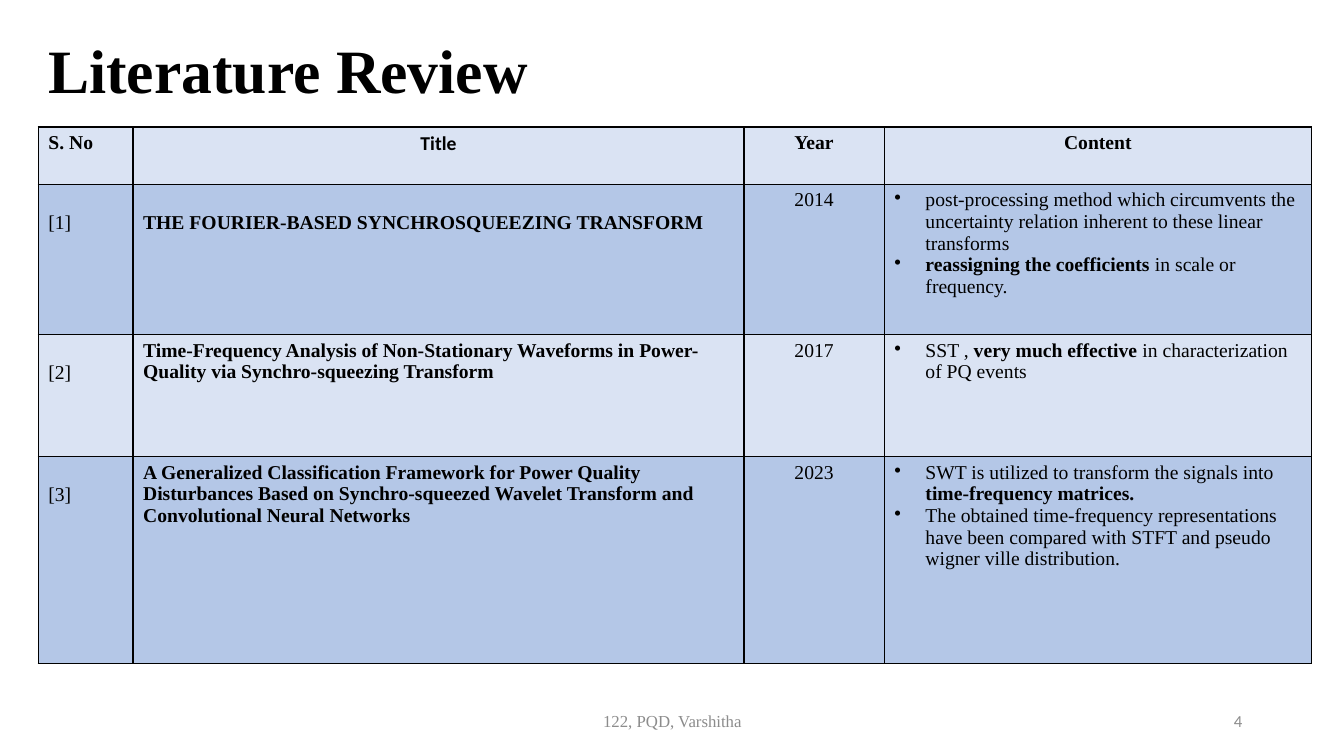
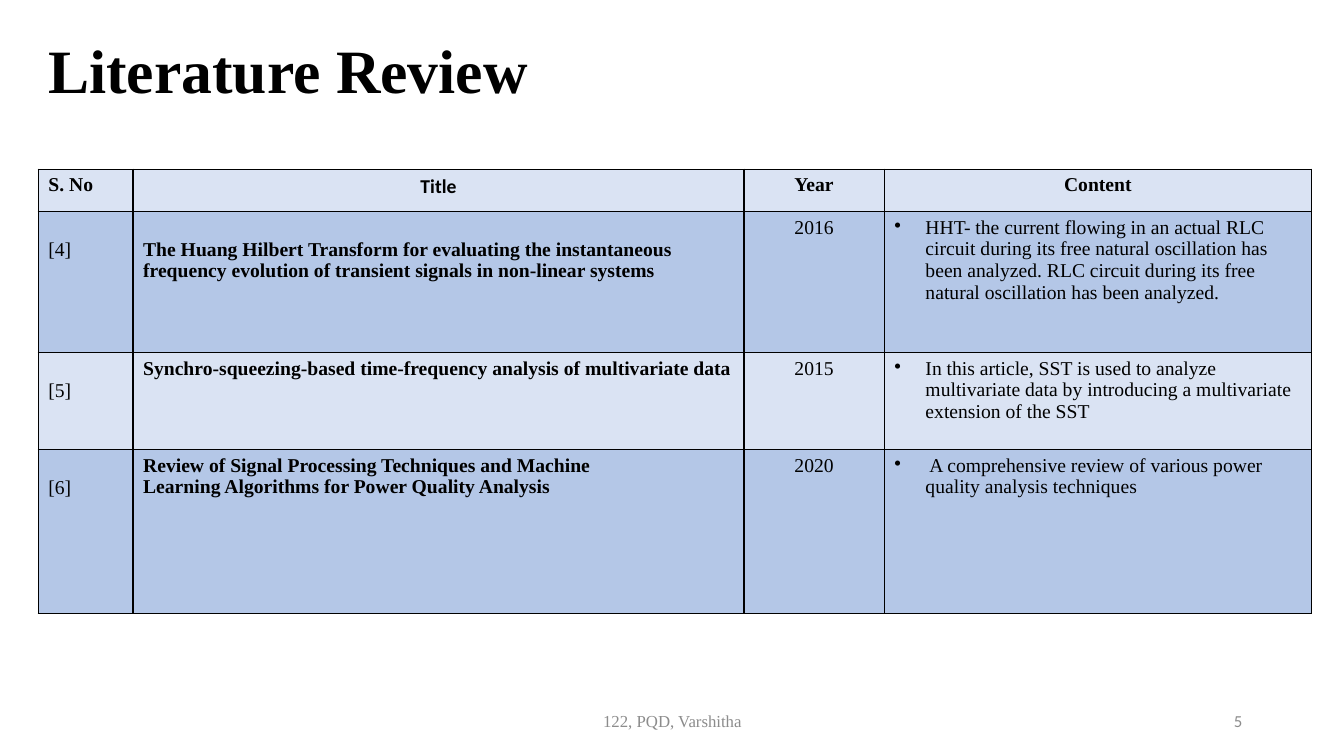
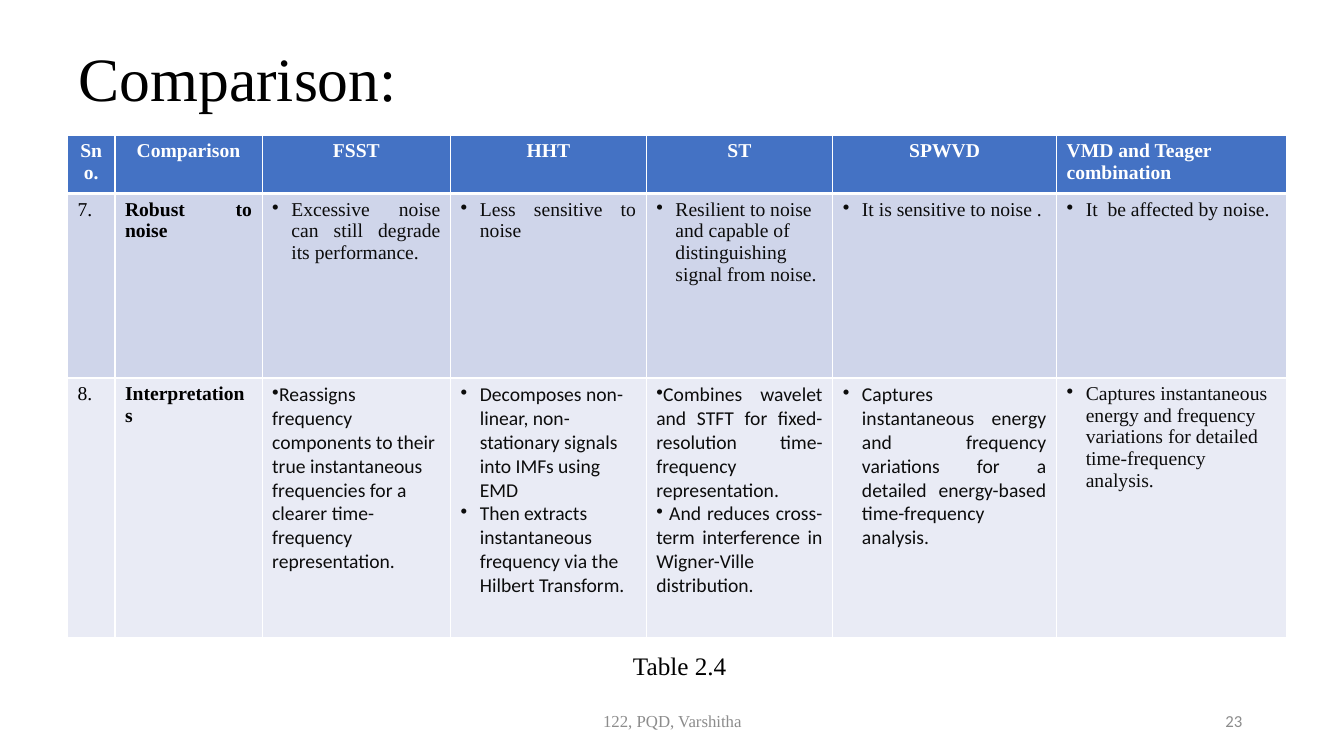
from dataclasses import dataclass

from lxml.etree import SubElement
from pptx import Presentation
from pptx.dml.color import RGBColor as Color
from pptx.enum.text import MSO_ANCHOR as Anchor, MSO_AUTO_SIZE as AutoSize, PP_ALIGN as Align
from pptx.oxml.ns import qn
from pptx.util import Emu, Pt


@dataclass(frozen=True)
class Theme:
    serif: str = "Times New Roman"
    sans: str = "Calibri"
    ink: str = "000000"
    soft_ink: str = "0C0C0C"
    white: str = "FFFFFF"
    muted: str = "8C8C8C"
    review_fills: tuple = ("DAE3F3", "B4C7E7")
    header_fill: str = "4472C4"
    comparison_fills: tuple = ("CFD5EA", "E9EBF5")
    title_size: int = 44
    caption_size: int = 18
    table_size: int = 14
    footer_size: int = 12


@dataclass
class Cell:
    text: str
    align: Align = Align.LEFT
    bold: bool = False
    font: str = Theme.serif
    color: str = Theme.ink
    bullet: bool = False
    hang: int = 0
    top: int = 5


def px(length):
    return Emu(length * 9144)


def apply(target, values):
    for name, value in values.items():
        setattr(target, name, value)


class Deck:
    """Hold the shared style and the current slide, and draw its elements."""

    def __init__(self, theme):
        self.theme = theme
        self.presentation = Presentation()
        apply(self.presentation, {"slide_width": px(1333), "slide_height": px(750)})
        self.slide = None

    def add_slide(self, title, number, box, bold):
        self.slide = self.presentation.slides.add_slide(self.presentation.slide_layouts[5])
        shape = self.slide.shapes.title
        apply(shape, dict(zip(("left", "top", "width", "height"), map(px, box))))
        self.fill_text(shape, Cell(title, bold=bold), self.theme.title_size)
        shape.text_frame.paragraphs[0].line_spacing = 0.9
        size, color = self.theme.footer_size, self.theme.muted
        self.text((442, 695, 450, 40),
                  Cell("122, PQD, Varshitha", Align.CENTER, color=color), size)
        self.text((942, 695, 300, 40),
                  Cell(str(number), Align.RIGHT, font=self.theme.sans, color=color), size)

    def fill_text(self, shape, content, size, anchor=Anchor.MIDDLE):
        apply(shape.text_frame, {"word_wrap": True, "auto_size": AutoSize.NONE,
                                 "vertical_anchor": anchor})
        self.add_lines(shape.text_frame, content, size)

    def text(self, box, content, size, anchor=Anchor.MIDDLE):
        shape = self.slide.shapes.add_textbox(*map(px, box))
        self.fill_text(shape, content, size, anchor)

    def add_lines(self, frame, content, size):
        for index, line in enumerate(content.text.split("\n")):
            paragraph = frame.add_paragraph() if index else frame.paragraphs[0]
            paragraph.alignment = content.align
            if content.bullet:
                properties = paragraph._p.get_or_add_pPr()
                properties.set("marL", str(px(content.hang)))
                properties.set("indent", str(px(-content.hang)))
                SubElement(properties, qn("a:buChar"), char="•")
            for part, piece in enumerate(line.split("**")):
                if piece:
                    run = paragraph.add_run()
                    run.text = piece
                    apply(run.font, {"name": content.font, "size": Pt(size),
                                     "bold": content.bold != bool(part % 2)})
                    run.font.color.rgb = Color.from_string(content.color)

    def border(self, cell, color, widths):
        properties = cell._tc.get_or_add_tcPr()
        for index, (side, width) in enumerate(zip("LRTB", widths)):
            line = properties.makeelement(qn(f"a:ln{side}"), {"w": str(Pt(width))})
            fill = SubElement(line, qn("a:solidFill"))
            SubElement(fill, qn("a:srgbClr"), val=color)
            properties.insert(index, line)

    def table(self, corner, columns, heights, rows, fills, line, header_rule=1):
        box = (*corner, sum(columns), sum(heights))
        table = self.slide.shapes.add_table(len(rows), len(columns), *map(px, box)).table
        apply(table, {"first_row": False, "horz_banding": False})
        for column, width in zip(table.columns, columns):
            column.width = px(width)
        for index, (row, height, contents) in enumerate(zip(table.rows, heights, rows)):
            row.height = px(height)
            widths = (1, 1, header_rule if index == 1 else 1, header_rule if index == 0 else 1)
            for cell, content in zip(row.cells, contents):
                cell.fill.solid()
                cell.fill.fore_color.rgb = Color.from_string(fills[index])
                cell.margin_top = px(content.top)
                self.border(cell, line, widths)
                self.add_lines(cell.text_frame, content, self.theme.table_size)

    def review(self, number, top, heights, entries):
        self.add_slide("Literature Review", number, (38, 0, 1204, 145), True)
        lowered = 27
        rows = [[Cell("S. No", bold=True),
                 Cell("Title", Align.CENTER, True, self.theme.sans),
                 Cell("Year", Align.CENTER, True),
                 Cell("Content", Align.CENTER, True)]]
        for index, (label, title, year, content) in enumerate(entries):
            rows.append([Cell(label, top=lowered),
                         Cell(title, bold=True, top=5 if index else lowered),
                         Cell(year, Align.CENTER),
                         Cell(content, bullet=True, hang=31)])
        self.table((38, top), (94, 606, 139, 424), heights, rows,
                   self.theme.review_fills * 2, self.theme.ink)

    def comparison(self, number, headings, entries):
        self.add_slide("Comparison:", number, (68, 33, 1063, 95), False)
        last = len(headings) - 1
        header = [Cell(heading, Align.LEFT if index == last else Align.CENTER, True,
                       color=self.theme.white) for index, heading in enumerate(headings)]
        rows = [header]
        for label, name, *points in entries:
            rows.append([Cell(label), Cell(name, Align.JUSTIFY, True), *points])
        self.table((67, 134), (47, 146, 187, 194, 185, 222, 228), (58, 183, 258), rows,
                   (self.theme.header_fill, *self.theme.comparison_fills),
                   self.theme.white, 3)
        self.text((618, 640, 376, 40), Cell("Table 2.4"), self.theme.caption_size, Anchor.TOP)


def point(text, align=Align.JUSTIFY, font=Theme.serif, hang=19):
    return Cell(text, align, font=font, color=Theme.soft_ink, bullet=True, hang=hang)


def main():
    deck = Deck(Theme())
    deck.review(4, 126, (57, 149, 121, 205), [
        ("[1]", "THE FOURIER-BASED SYNCHROSQUEEZING TRANSFORM", "2014",
         "post-processing method which circumvents the uncertainty relation inherent to "
         "these linear transforms\n"
         "**reassigning the coefficients** in scale or frequency."),
        ("[2]", "Time-Frequency Analysis of Non-Stationary Waveforms in Power-Quality via "
         "Synchro-squeezing Transform", "2017",
         "SST ,** very much effective** in characterization of PQ events"),
        ("[3]", "A Generalized Classification Framework for Power Quality Disturbances Based "
         "on Synchro-squeezed Wavelet Transform and Convolutional Neural Networks", "2023",
         "SWT is utilized to transform the signals into **time-frequency matrices.**\n"
         "The obtained time-frequency representations have been compared with STFT and "
         "pseudo wigner ville distribution."),
    ])
    deck.review(5, 168, (42, 140, 96, 163), [
        ("[4]", "The Huang Hilbert Transform for evaluating the instantaneous\n"
         "frequency evolution of transient signals in non-linear systems", "2016",
         "HHT- the current flowing in an actual RLC circuit during its free natural "
         "oscillation has been analyzed. RLC circuit during its free natural "
         "oscillation has been analyzed."),
        ("[5]", "Synchro-squeezing-based time-frequency analysis of multivariate data", "2015",
         "In this article, SST is used to analyze multivariate data by introducing a "
         "multivariate extension of the SST"),
        ("[6]", "Review of Signal Processing Techniques and Machine\n"
         "Learning Algorithms for Power Quality Analysis", "2020",
         " A comprehensive review of various power quality analysis techniques"),
    ])
    sans = deck.theme.sans
    deck.comparison(
        23,
        ("Sno.", "Comparison", "FSST", "HHT", "ST", "SPWVD", "VMD and Teager combination"),
        [
            ("7.", "Robust to noise",
             point("Excessive noise can still degrade its performance."),
             point("Less sensitive to noise"),
             point("Resilient to noise and capable of distinguishing signal from noise.",
                   Align.LEFT),
             point("It is sensitive to noise ."),
             point("It  be affected by noise.")),
            ("8.", "Interpretations",
             point("Reassigns frequency components to their true instantaneous frequencies "
                   "for a clearer time-frequency representation.", Align.LEFT, sans, 0),
             point("Decomposes non-linear, non-stationary signals into IMFs using EMD\n"
                   "Then extracts instantaneous frequency via the Hilbert Transform.",
                   Align.LEFT, sans),
             point("Combines wavelet and STFT for fixed-resolution time-frequency "
                   "representation.\n"
                   " And reduces cross-term interference in Wigner-Ville distribution.",
                   font=sans, hang=0),
             point("Captures instantaneous energy and frequency variations for a detailed "
                   "energy-based time-frequency analysis.", font=sans),
             point("Captures instantaneous energy and frequency variations for detailed "
                   "time-frequency analysis.", Align.LEFT)),
        ])
    deck.presentation.save("out.pptx")


if __name__ == "__main__":
    main()
